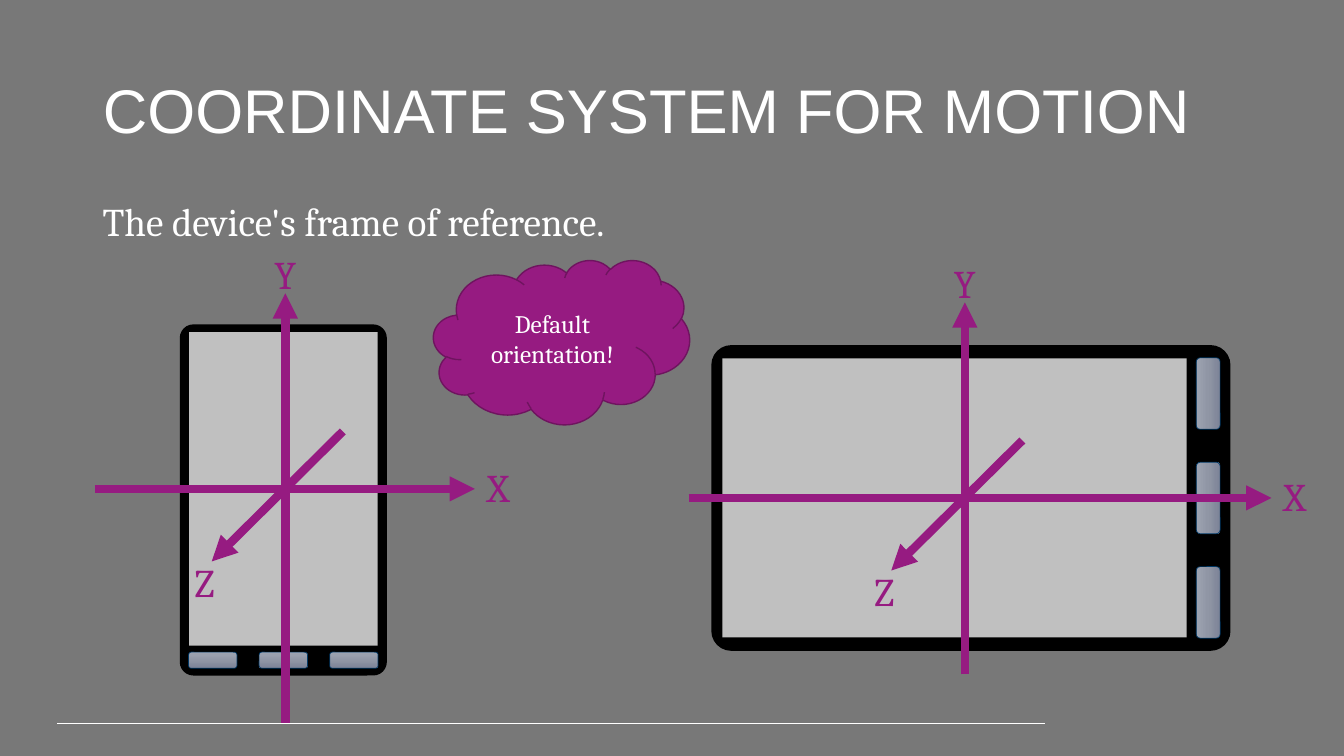
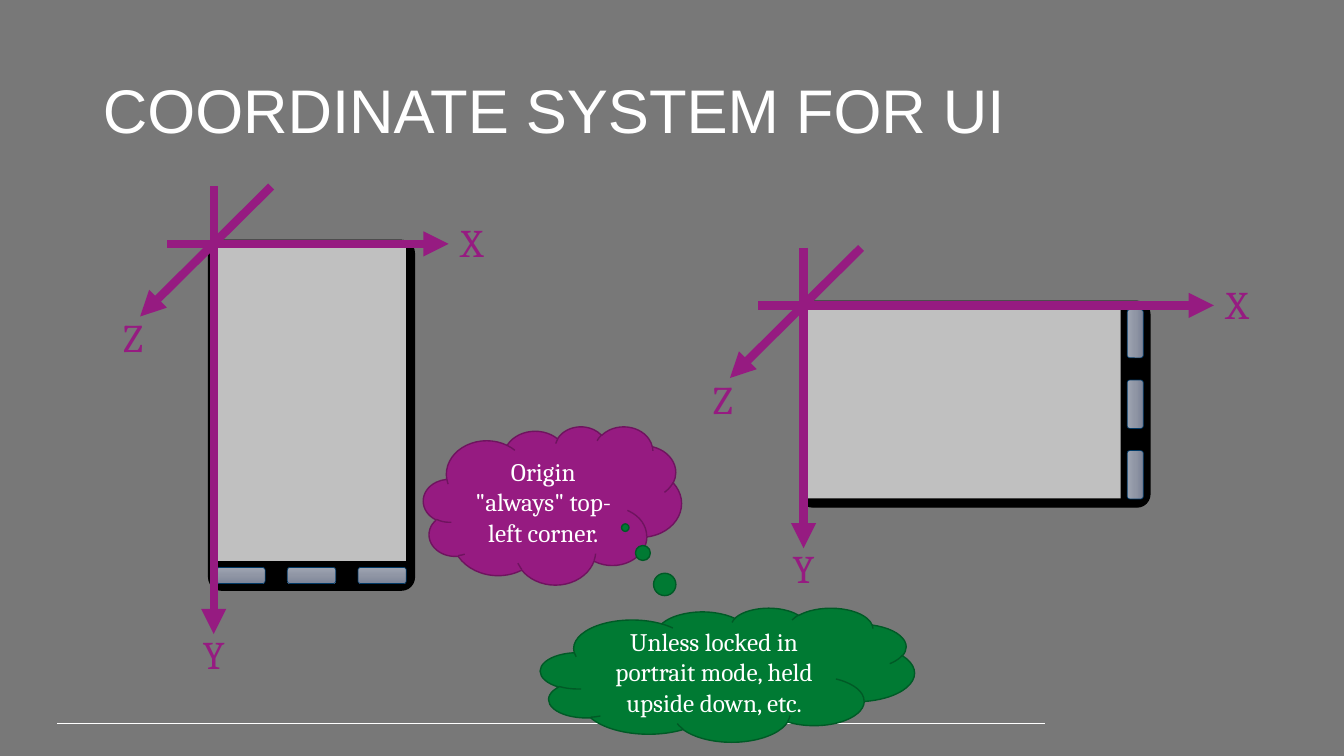
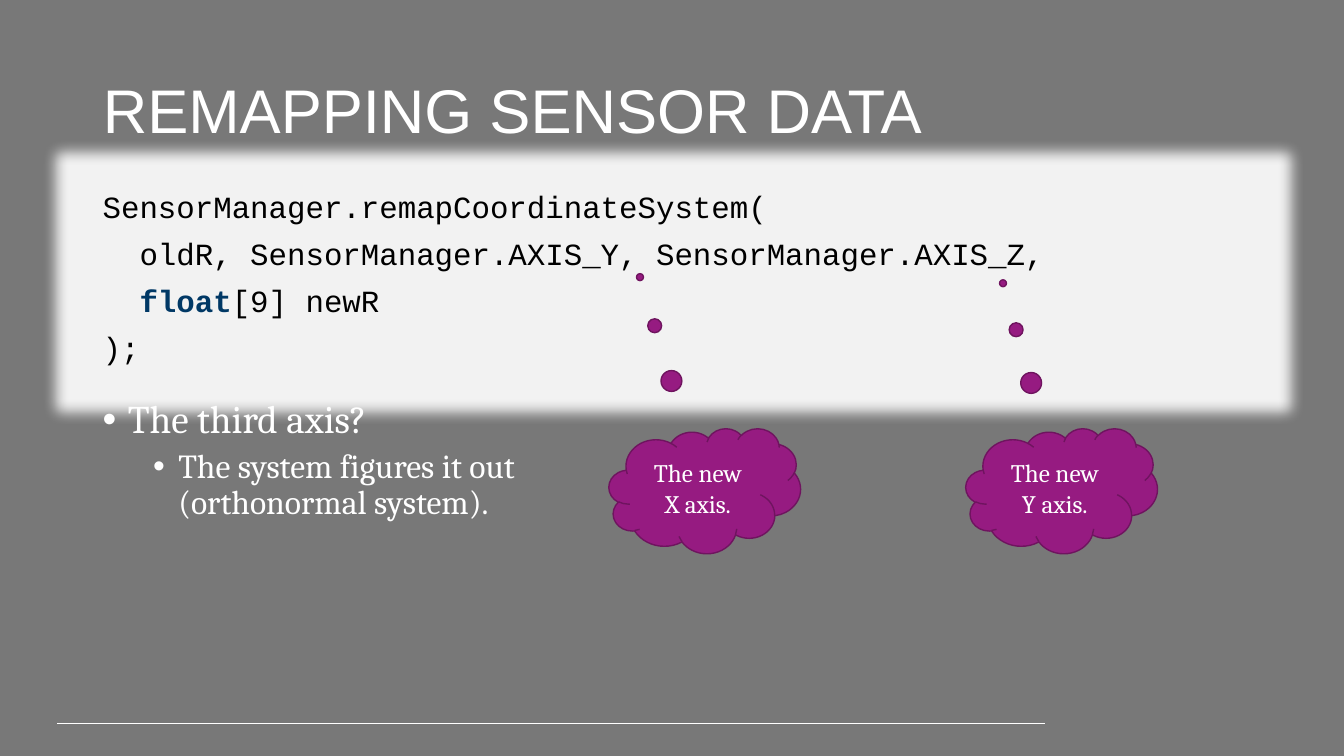
from copy import deepcopy
from dataclasses import dataclass
from typing import Any, NamedTuple

from lxml.etree import SubElement
from pptx import Presentation
from pptx.dml.color import RGBColor
from pptx.enum.shapes import MSO_CONNECTOR as Wire, MSO_SHAPE as Kind
from pptx.enum.text import MSO_ANCHOR as Anchor, MSO_AUTO_SIZE as Fit, PP_ALIGN as Align
from pptx.oxml.ns import qn
from pptx.util import Emu, Pt

# Shared look
PX = 9144  # 100 px to the inch
GREY, WHITE, BLACK = "787878", "FFFFFF", "000000"
PLUM, WINE = "961B81", "6F145F"
GREEN, PINE = "007A33", "005A26"
NAVY, GLASS, PAPER = "003865", "C0C0C0", "F2F2F2"
METAL = ("9DA3B1", "9096A5", "7C8397")
HEAD, BODY, MONO = "Arial", "Cambria", "Courier New"


class Run(NamedTuple):
    text: str
    tint: str = WHITE
    bold: bool = False


@dataclass
class Para:
    runs: list[Run]
    size: int
    face: str = BODY
    align: Align = Align.LEFT
    lead: float = 1.0
    before: int = 0
    indent: int = 0  # bullet text indent, 0 for no bullet
    level: int = 0


@dataclass
class Axes:
    x: int
    y: int
    left: int
    right: int
    start: int
    end: int


@dataclass
class Cloud:
    box: tuple[int, int, int, int]
    text: str
    fill: str = PLUM
    edge: str = WINE
    tail: tuple[float, float] | None = None


class Part(NamedTuple):
    kind: Kind
    x: int  # centre, measured from the centre of the phone
    y: int
    w: int
    h: int


CASE = Part(Kind.ROUNDED_RECTANGLE, 0, 0, 204, 347)
PANE = Part(Kind.RECTANGLE, 0, -11, 187, 311)
KEYS = [Part(Kind.ROUNDED_RECTANGLE, x, 159, 48, 16) for x in (-70, 0, 70)]


# Helpers
def px(n: float) -> Emu:
    return Emu(round(n * PX))


def rgb(code: str) -> RGBColor:
    return RGBColor.from_string(code)


def put(obj: Any, **vals: Any) -> None:
    for key, val in vals.items():
        setattr(obj, key, val)


def paint(shape: Any, fill: str, edge: str | None = None, width: float = 1) -> None:
    shape.shadow.inherit = False
    shape.fill.solid()
    shape.fill.fore_color.rgb = rgb(fill)
    rim(shape, edge, width)


def rim(shape: Any, edge: str | None, width: float) -> None:
    if edge:
        shape.line.color.rgb = rgb(edge)
        shape.line.width = Pt(width)
    else:
        shape.line.fill.background()


def effect(shape: Any, tag: str, tint: str, alpha: int, **vals: Any) -> None:
    fx = shape.element.spPr.find(qn("a:effectLst"))
    node = SubElement(fx, qn(tag), {k: str(v) for k, v in vals.items()})
    hue = SubElement(node, qn("a:srgbClr"), val=tint)
    SubElement(hue, qn("a:alpha"), val=str(alpha * 1000))


def bullet(para: Any, indent: int) -> None:
    props = para._p.get_or_add_pPr()
    props.set("marL", str(px(indent)))
    props.set("indent", str(px(-25)))
    SubElement(props, qn("a:buFont"), typeface="Arial")
    SubElement(props, qn("a:buChar"), char="•")


def write(frame: Any, paras: list[Para], **vals: Any) -> None:
    put(frame, **{"word_wrap": True, "auto_size": Fit.NONE,
                  "vertical_anchor": Anchor.TOP, **vals})
    for i, item in enumerate(paras):
        para = frame.add_paragraph() if i else frame.paragraphs[0]
        if item.indent:
            bullet(para, item.indent)
        put(para, alignment=item.align, line_spacing=item.lead,
            space_before=Pt(item.before), level=item.level)
        for run in item.runs:
            for j, line in enumerate(run.text.split("\n")):
                if j:
                    para.add_line_break()
                span = para.add_run()
                span.text = line
                put(span.font, name=item.face, size=Pt(item.size), bold=run.bold)
                span.font.color.rgb = rgb(run.tint)


def text(slide: Any, box: tuple[int, int, int, int], paras: list[Para], **vals: Any) -> None:
    write(slide.shapes.add_textbox(*map(px, box)).text_frame, paras, **vals)


def line(slide: Any, ends: tuple[int, int, int, int], tint: str, width: float,
         arrow: bool = False) -> None:
    wire = slide.shapes.add_connector(Wire.STRAIGHT, *map(px, ends))
    rim(wire, tint, width)
    props = wire.element.spPr
    if arrow:
        SubElement(props.find(qn("a:ln")), qn("a:tailEnd"), type="triangle")
    SubElement(props, qn("a:effectLst"))


def page(deck: Any, title: str, width: int = 1185) -> Any:
    slide = deck.slides.add_slide(deck.slide_layouts[5])
    line(slide, (57, 718, 1036, 718), WHITE, 0.75)
    head = slide.shapes.title
    put(head, left=px(92), top=px(40), width=px(width), height=px(145))
    write(head.text_frame, [Para([Run(title)], 44, HEAD, lead=0.9)],
          vertical_anchor=Anchor.MIDDLE)
    return slide


# Drawn items
def phone(slide: Any, x: float, y: float, scale: float = 1, turn: bool = False) -> None:
    group = slide.shapes.add_group_shape()

    def add(part: Part) -> Any:
        dx, dy = (part.y, -part.x) if turn else (part.x, part.y)
        w, h = part.w * scale, part.h * scale
        shape = group.shapes.add_shape(
            part.kind, px(x + dx * scale - w / 2), px(y + dy * scale - h / 2), px(w), px(h))
        shape.rotation = 270 if turn else 0
        return shape

    case = add(CASE)
    case.adjustments[0] = 0.063
    paint(case, BLACK, BLACK)
    pane = add(PANE)
    paint(pane, GLASS)
    effect(pane, "a:outerShdw", BLACK, 63, blurRad=Pt(4.5), dist=Pt(1.5),
           dir=5400000, rotWithShape=0)
    for part in KEYS:
        key = add(part)
        key.shadow.inherit = False
        key.fill.gradient()
        key.fill.gradient_angle = 270
        stops = key.element.spPr.find(".//" + qn("a:gsLst"))
        stops.insert(1, deepcopy(stops[0]))
        for i, stop in enumerate(key.fill.gradient_stops):
            stop.position = i / 2
            stop.color.rgb = rgb(METAL[i])
        rim(key, NAVY, 0.5)


def axes(slide: Any, a: Axes) -> None:
    tip_x, tip_y = a.x - 73, a.y + 72
    for ends in ((a.left, a.y, a.right, a.y), (a.x, a.start, a.x, a.end),
                 (a.x + 57, a.y - 57, tip_x, tip_y)):
        line(slide, ends, PLUM, 6, arrow=True)
    y_top = a.end - (48 if a.end < a.start else 9)
    for name, left, top, wide in (("X", a.right, a.y - 30, 46), ("Y", a.x - 23, y_top, 46),
                                  ("Z", tip_x - 29, tip_y - 8, 44)):
        text(slide, (left, top, wide, 57),
             [Para([Run(name, PLUM)], 28, align=Align.CENTER)], word_wrap=False)


def cloud(slide: Any, c: Cloud) -> None:
    kind = Kind.CLOUD_CALLOUT if c.tail else Kind.CLOUD
    shape = slide.shapes.add_shape(kind, *map(px, c.box))
    for i, val in enumerate(c.tail or ()):
        shape.adjustments[i] = val
    paint(shape, c.fill, c.edge)
    write(shape.text_frame, [Para([Run(c.text)], 18, align=Align.CENTER)],
          vertical_anchor=Anchor.MIDDLE)


# Slides
def motion(deck: Any) -> None:
    slide = page(deck, "COORDINATE SYSTEM FOR MOTION")
    phone(slide, 281, 496)
    axes(slide, Axes(283, 485, 94, 471, 717, 291))
    cloud(slide, Cloud((430, 258, 254, 163), "Default orientation!"))
    phone(slide, 963, 494, 1.48, turn=True)
    axes(slide, Axes(957, 494, 683, 1261, 669, 300))
    text(slide, (92, 200, 1150, 51),
         [Para([Run("The device's frame of reference.")], 28, lead=0.8)])


def screen(deck: Any) -> None:
    slide = page(deck, "COORDINATE SYSTEM FOR UI")
    phone(slide, 309, 412)
    axes(slide, Axes(212, 242, 166, 445, 185, 629))
    cloud(slide, Cloud((420, 423, 256, 157), 'Origin "always" top-left corner.'))
    phone(slide, 967, 401, turn=True)
    axes(slide, Axes(797, 303, 752, 1204, 246, 544))
    cloud(slide, Cloud((536, 603, 371, 133),
                       "Unless locked in portrait mode, held upside down, etc.",
                       GREEN, PINE, (-0.273, -1.098)))


def remap(deck: Any) -> None:
    slide = page(deck, "REMAPPING SENSOR DATA", 1150)
    code = [
        [Run("SensorManager.remapCoordinateSystem(", BLACK)],
        [Run("  oldR, SensorManager.AXIS_Y, SensorManager.AXIS_Z,", BLACK)],
        [Run("  ", BLACK), Run("float", NAVY, True), Run("[9] newR", BLACK)],
        [Run(");", BLACK)],
    ]
    panel = slide.shapes.add_shape(Kind.RECTANGLE, *map(px, (92, 185, 1150, 185)))
    paint(panel, PAPER)
    effect(panel, "a:glow", PAPER, 100, rad=Pt(18))
    write(panel.text_frame, [Para(runs, 22, MONO, lead=0.9, before=10 if i else 0)
                             for i, runs in enumerate(code)])
    for left, axis, tail in ((604, "X", (-0.338, -1.71)), (958, "Y", (-0.306, -1.661))):
        cloud(slide, Cloud((left, 425, 190, 124), f"The new {axis} axis.", tail=tail))
    text(slide, (92, 392, 1150, 132), [
        Para([Run("The third axis?")], 28, lead=0.9, indent=25),
        Para([Run("The system figures it out\n(orthonormal system).")], 24,
             lead=0.9, before=5, indent=75, level=1),
    ])


def main() -> None:
    deck = Presentation()
    put(deck, slide_width=px(1333), slide_height=px(750))
    back = deck.slide_master.background.fill
    back.solid()
    back.fore_color.rgb = rgb(GREY)
    for build in (motion, screen, remap):
        build(deck)
    deck.save("out.pptx")


if __name__ == "__main__":
    main()
